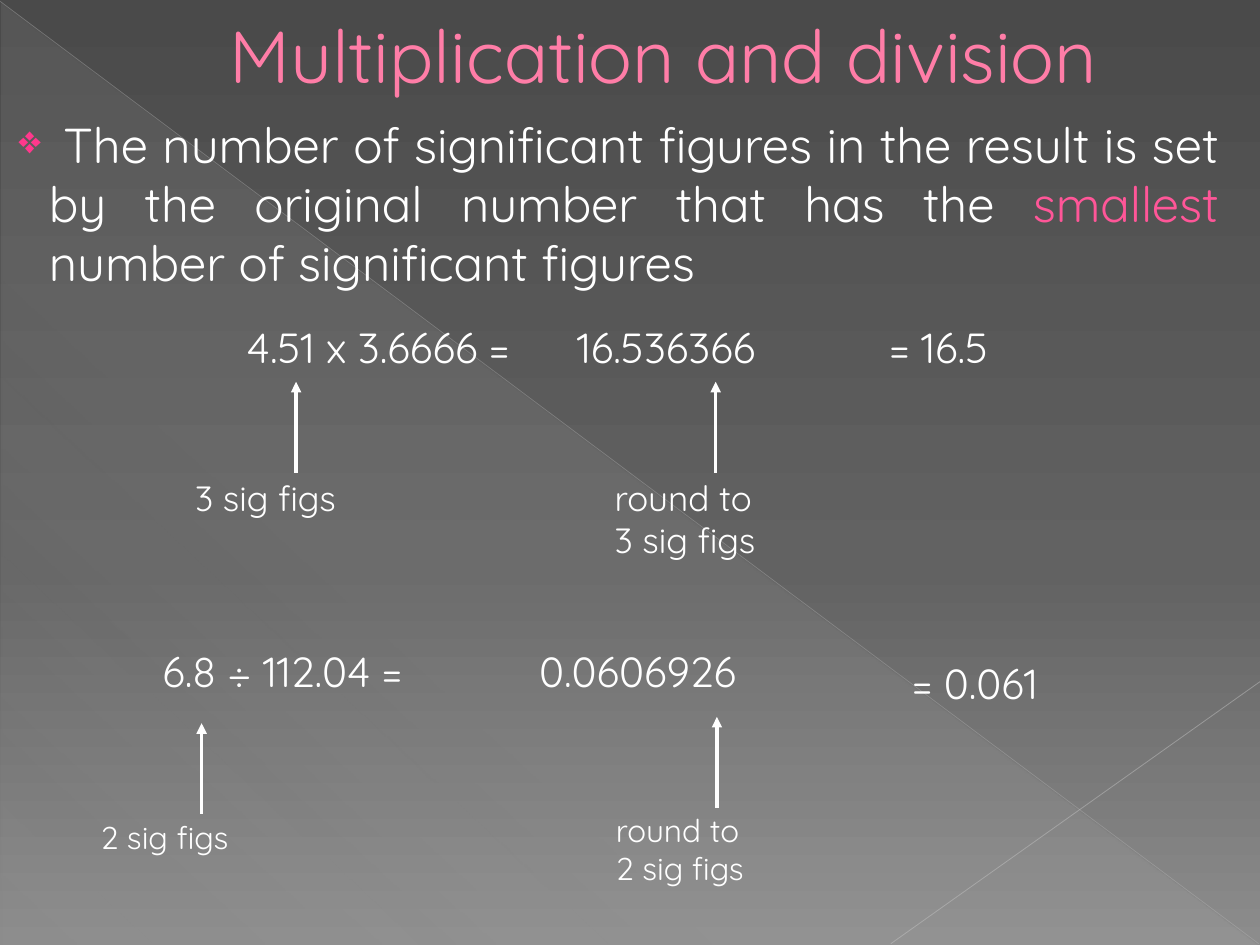
from lxml import etree
from pptx import Presentation
from pptx.dml.color import RGBColor
from pptx.enum.shapes import MSO_CONNECTOR, MSO_SHAPE
from pptx.enum.text import MSO_ANCHOR, PP_ALIGN
from pptx.oxml.ns import qn
from pptx.util import Inches, Pt

STRAIGHT = MSO_CONNECTOR.STRAIGHT
RIGHT_TRIANGLE = MSO_SHAPE.RIGHT_TRIANGLE
MIDDLE, TOP = MSO_ANCHOR.MIDDLE, MSO_ANCHOR.TOP
LEFT, CENTER, JUSTIFY = PP_ALIGN.LEFT, PP_ALIGN.CENTER, PP_ALIGN.JUSTIFY

FONT = "Quicksand"
WHITE = RGBColor(0xFF, 0xFF, 0xFF)
TITLE_PINK = RGBColor(0xFF, 0x7D, 0xA7)
KEYWORD_PINK = RGBColor(0xFF, 0x56, 0x98)
BULLET_PINK = RGBColor(0xFF, 0x38, 0x8C)
DARK_GREY = RGBColor(0x4A, 0x4A, 0x4A)
MID_GREY = RGBColor(0x62, 0x62, 0x62)
LIGHT_GREY = RGBColor(0x8C, 0x8C, 0x8C)
SHEEN = RGBColor(0xD2, 0xD2, 0xD2)
LONG_LINE = RGBColor(0xBF, 0xBF, 0xBF)
SHORT_LINE = RGBColor(0xC6, 0xC6, 0xC6)

ARROW_LENGTH = 0.72
LABEL_OFFSET = 0.9


def add_element(parent, tag, **attributes):
    return etree.SubElement(parent, qn(tag), attributes)


def set_gradient(fill, owner, stops, angle):
    """Stops are (percent, colour, opacity percent); angle is clockwise."""
    fill.gradient()
    gradient = owner.find(".//" + qn("a:gradFill"))
    gradient.find(qn("a:lin")).set("ang", str(angle * 60000))
    stop_list = gradient.find(qn("a:gsLst"))
    for old_stop in list(stop_list):
        stop_list.remove(old_stop)
    for percent, color, opacity in stops:
        stop = add_element(stop_list, "a:gs", pos=str(percent * 1000))
        stop_color = add_element(stop, "a:srgbClr", val=str(color))
        if opacity < 100:
            add_element(stop_color, "a:alpha", val=str(opacity * 1000))


def add_line(slide, start, end, color, width, opacity=100):
    line = slide.shapes.add_connector(STRAIGHT, *map(Inches, start + end))
    line.line.color.rgb = color
    line.line.width = Pt(width)
    properties = line.element.spPr
    if opacity < 100:
        stroke_color = properties.find(".//" + qn("a:srgbClr"))
        add_element(stroke_color, "a:alpha", val=str(opacity * 1000))
    add_element(properties, "a:effectLst")
    return line


def add_text(slide, box, lines, size, color=WHITE, align=LEFT, anchor=TOP,
             wrap=False, tab=None):
    frame = slide.shapes.add_textbox(*map(Inches, box)).text_frame
    frame.word_wrap = wrap
    frame.vertical_anchor = anchor
    frame.text = lines
    for paragraph in frame.paragraphs:
        paragraph.alignment = align
        if tab:
            tabs = add_element(paragraph._p.get_or_add_pPr(), "a:tabLst")
            add_element(tabs, "a:tab", pos=str(Inches(tab)), algn="l")
        paragraph.font.name = FONT
        paragraph.font.size = Pt(size)
        paragraph.font.color.rgb = color
    return frame


def add_background(slide):
    set_gradient(slide.background.fill, slide.element,
                 [(0, DARK_GREY, 100), (60, MID_GREY, 100),
                  (100, LIGHT_GREY, 100)], 90)
    triangle = slide.shapes.add_shape(
        RIGHT_TRIANGLE, *map(Inches, (0.01, 0.02, 9.98, 7.48)))
    triangle.shadow.inherit = False
    triangle.line.fill.background()
    set_gradient(triangle.fill, triangle.element,
                 [(0, SHEEN, 10), (70, SHEEN, 8), (100, SHEEN, 1)], 133)
    add_line(slide, (0, 0.01), (9.99, 7.49), LONG_LINE, 0.39, 35)
    add_line(slide, (10, 5.41), (7.07, 7.49), SHORT_LINE, 0.47, 45)


def add_title(slide, title):
    frame = add_text(slide, (0, 0, 10, 0.86), title, 42, TITLE_PINK,
                     CENTER, MIDDLE, wrap=True)
    frame.paragraphs[0]._p.get_or_add_pPr().set("marL", str(Inches(0.53)))


def add_rule(slide, before, keyword, after):
    """Bulleted statement with one highlighted word."""
    frame = slide.shapes.add_textbox(
        *map(Inches, (0, 0.86, 9.77, 3.87))).text_frame
    frame.word_wrap = True
    statement = frame.paragraphs[0]
    statement.alignment = JUSTIFY
    properties = statement._p.get_or_add_pPr()
    properties.set("marL", str(Inches(0.29)))
    properties.set("indent", str(Inches(-0.24)))
    bullet_color = add_element(properties, "a:buClr")
    add_element(bullet_color, "a:srgbClr", val=str(BULLET_PINK))
    add_element(properties, "a:buSzPct", val="80000")
    add_element(properties, "a:buChar", char="❖")
    statement.font.name = FONT
    statement.font.size = Pt(28)
    for words, color in ((before, WHITE), (keyword, KEYWORD_PINK),
                         (after, WHITE)):
        run = statement.add_run()
        run.text = words
        run.font.color.rgb = color


def add_pointer(slide, x, bottom, label, size):
    """Upward arrow with its label underneath."""
    arrow = add_line(slide, (x, bottom), (x, bottom - ARROW_LENGTH), WHITE, 2)
    stroke = arrow.element.spPr.find(qn("a:ln"))
    add_element(stroke, "a:tailEnd", type="triangle")
    add_text(slide, (x - LABEL_OFFSET, bottom - 0.02, 1.4, 0.5), label, size)


def main():
    presentation = Presentation()
    presentation.slide_width = Inches(10)
    presentation.slide_height = Inches(7.5)
    slide = presentation.slides.add_slide(presentation.slide_layouts[6])

    add_background(slide)
    add_rule(slide,
             " The number of significant figures in the result is set by "
             "the original number that has the ",
             "smallest ", "number of significant figures")
    add_title(slide, "Multiplication and division")

    add_text(slide, (1.86, 2.5, 5.38, 0.62), "4.51 x 3.6666 =\t16.536366",
             24, wrap=True, tab=2.62)
    add_text(slide, (6.96, 2.5, 1.25, 0.62), "= 16.5", 24)
    add_pointer(slide, 2.35, 3.75, "3 sig figs", 20)
    add_pointer(slide, 5.68, 3.75, "round to\n3 sig figs", 20)

    add_text(slide, (1.19, 5.07, 5.64, 0.62), "6.8 ÷ 112.04 =\t0.0606926",
             24, wrap=True, tab=2.99)
    add_text(slide, (7.14, 5.17, 1.45, 0.62), "= 0.061", 24)
    add_pointer(slide, 1.6, 6.46, "2 sig figs", 18)
    add_pointer(slide, 5.69, 6.41, "round to\n2 sig figs", 18)

    presentation.save("out.pptx")


if __name__ == "__main__":
    main()
